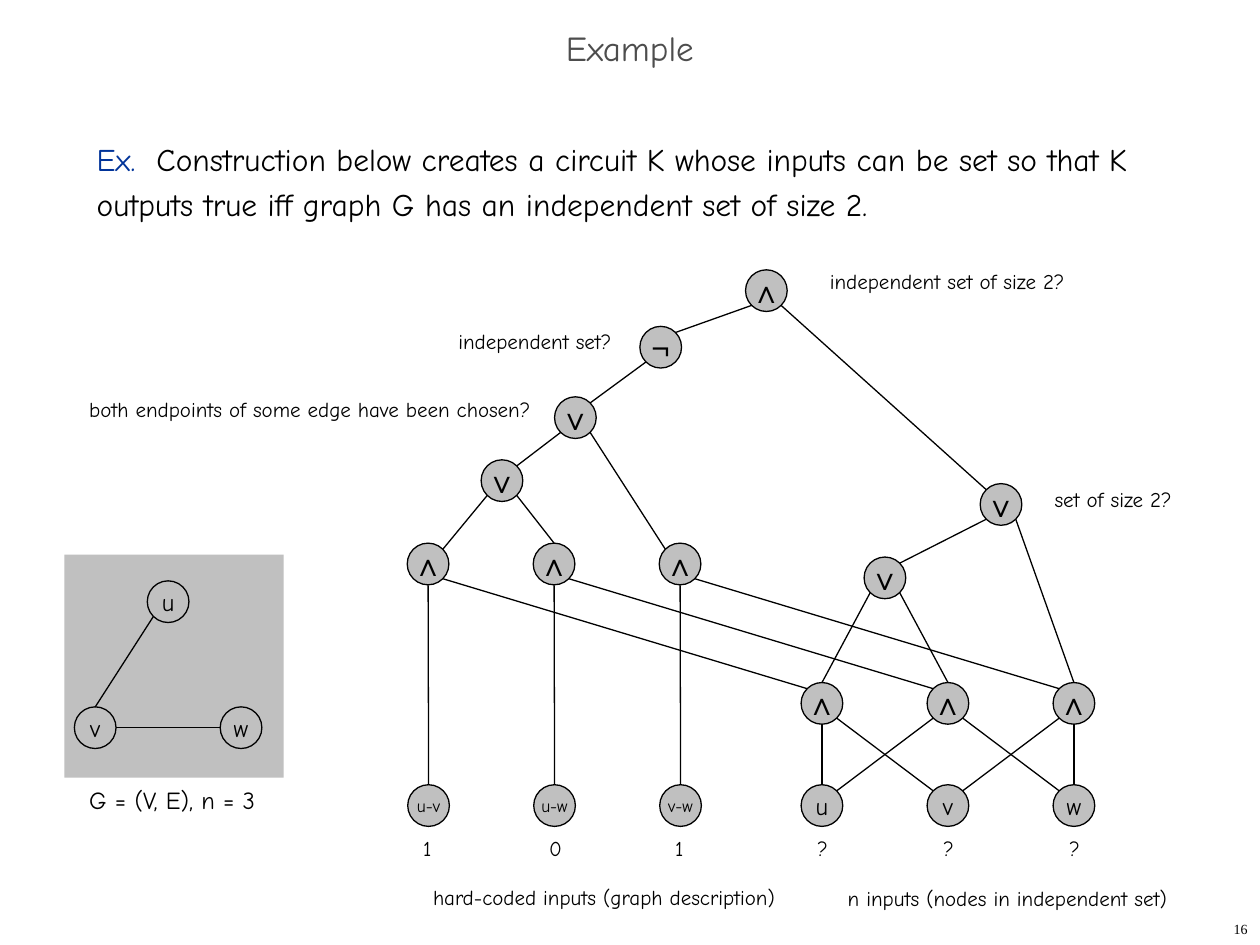
from math import sqrt

from lxml.etree import SubElement
from pptx import Presentation
from pptx.dml.color import RGBColor
from pptx.enum.shapes import MSO_CONNECTOR as LINE, MSO_SHAPE as SHAPE
from pptx.enum.text import MSO_ANCHOR as ANCHOR, MSO_AUTO_SIZE as FIT, PP_ALIGN as ALIGN
from pptx.oxml.ns import qn
from pptx.util import Cm, Pt

BLACK, GREY, DARK, BLUE = "000000", "C0C0C0", "4D4D4D", "003399"
HAND = "Comic Neue"
DIAMETER, STEP = 0.84, 2.54

GATE = {"name": "Arial", "size": Pt(18)}
EDGE_INPUT = {"name": HAND, "size": Pt(10)}
NODE = {"name": HAND, "size": Pt(14)}
LABEL = {"name": HAND, "size": Pt(12)}
TITLE = {"name": HAND, "size": Pt(20)}
BODY = {"name": HAND, "size": Pt(18)}
NUMBER = {"name": "Times New Roman", "size": Pt(8)}

# name: (text, centre x, centre y, font), all in cm
nodes = {
    "result": ("∧", 15.45, 5.86, GATE),
    "not": ("¬", 13.32, 7.0, GATE),
    "any edge": ("∨", 11.6, 8.42, GATE),
    "two edges": ("∨", 10.12, 9.69, GATE),
    "size 2": ("∨", 20.18, 10.17, GATE),
    "two pairs": ("∨", 17.84, 11.65, GATE),
    "graph u": ("u", 3.39, 12.13, NODE),
    "graph v": ("v", 1.92, 14.67, NODE),
    "graph w": ("w", 4.86, 14.67, NODE),
}

# row name: (texts, first centre x, centre y, font)
rows = {
    "edge": ("∧∧∧", 8.63, 11.37, GATE),
    "pair": ("∧∧∧", 16.57, 14.18, GATE),
    "hard": (["u-v", "u-w", "v-w"], 8.64, 16.24, EDGE_INPUT),
    "free": ("uvw", 16.57, 16.24, NODE),
}

# (from node, side, to node, side)
wires = [
    ("result", "SW", "not", "NE"),
    ("result", "SE", "size 2", "NW"),
    ("not", "SW", "any edge", "NE"),
    ("any edge", "SW", "two edges", "NE"),
    ("any edge", "SE", "edge 2", "NW"),
    ("two edges", "SW", "edge 0", "NE"),
    ("two edges", "SE", "edge 1", "N"),
    ("size 2", "SW", "two pairs", "NE"),
    ("size 2", "SE", "pair 2", "N"),
    ("two pairs", "SW", "pair 0", "N"),
    ("two pairs", "SE", "pair 1", "N"),
    ("pair 0", "S", "free 0", "N"),
    ("pair 0", "SE", "free 1", "NW"),
    ("pair 1", "SW", "free 0", "NE"),
    ("pair 1", "SE", "free 2", "NW"),
    ("pair 2", "SW", "free 1", "NE"),
    ("pair 2", "S", "free 2", "N"),
    ("graph u", "SW", "graph v", "N"),
    ("graph w", "W", "graph v", "E"),
]

# (text, left, top, width, font)
labels = [
    ("independent set of size 2?", 16.48, 5.28, 5.26, LABEL),
    ("independent set?", 8.99, 6.5, 3.61, LABEL),
    ("both endpoints of some edge have been chosen?", 1.55, 7.87, 9.42, LABEL),
    ("set of size 2?", 21.01, 9.68, 2.9, LABEL),
    ("hard-coded inputs (graph description)", 8.48, 17.7, 7.44, LABEL),
    ("n inputs (nodes in independent set)", 16.84, 17.73, 6.96, LABEL),
    ("G = (V, E), n = 3", 1.55, 15.7, 3.91, NODE),
]
values = [("101", 8.28, 0.69), ("???", 16.23, 0.74)]

for row, (texts, first, y, font) in rows.items():
    for i, text in enumerate(texts):
        nodes[f"{row} {i}"] = (text, first + i * STEP, y, font)
for i in range(3):
    wires += [(f"edge {i}", "S", f"hard {i}", "N"),
              (f"edge {i}", "SE", f"pair {i}", "NW")]
for texts, first, width in values:
    labels += [(text, first + i * STEP, 16.72, width, LABEL)
               for i, text in enumerate(texts)]


def rgb(color):
    return RGBColor.from_string(color)


def write(para, text, font, color=BLACK):
    span = para.add_run()
    span.text = text
    for key, value in font.items():
        setattr(span.font, key, value)
    span.font.color.rgb = rgb(color)


def add_box(left, top, width, height, **frame):
    """Add a text box and return its first paragraph."""
    box = page.shapes.add_textbox(Cm(left), Cm(top), Cm(width), Cm(height))
    for key, value in ({"word_wrap": True} | frame).items():
        setattr(box.text_frame, key, value)
    return box.text_frame.paragraphs[0]


def add_shape(kind, left, top, width, height):
    shape = page.shapes.add_shape(kind, Cm(left), Cm(top), Cm(width), Cm(height))
    shape.shadow.inherit = False
    shape.fill.solid()
    shape.fill.fore_color.rgb = rgb(GREY)
    return shape


def add_node(text, x, y, font):
    circle = add_shape(SHAPE.OVAL, x - DIAMETER / 2, y - DIAMETER / 2, DIAMETER, DIAMETER)
    circle.line.color.rgb = rgb(BLACK)
    circle.line.width = Pt(0.75)
    frame = circle.text_frame
    frame.word_wrap = False
    frame.vertical_anchor = ANCHOR.MIDDLE
    frame.paragraphs[0].alignment = ALIGN.CENTER
    write(frame.paragraphs[0], text, font)


def rim(name, side):
    """Point on a node's circle in a compass direction."""
    _, x, y, _ = nodes[name]
    reach = DIAMETER / 2 / sqrt(len(side))
    return (Cm(x + reach * (("E" in side) - ("W" in side))),
            Cm(y + reach * (("S" in side) - ("N" in side))))


def add_wire(start, start_side, end, end_side):
    wire = page.shapes.add_connector(LINE.STRAIGHT, *rim(start, start_side), *rim(end, end_side))
    wire.line.color.rgb = rgb(BLACK)
    wire.line.width = Pt(0.75)
    SubElement(wire._element.spPr, qn("a:effectLst"))


deck = Presentation()
deck.slide_width, deck.slide_height = Cm(25.4), Cm(19.05)
page = deck.slides.add_slide(deck.slide_layouts[6])

title = add_box(0, 0.43, 25.4, 1.27, vertical_anchor=ANCHOR.MIDDLE)
title.alignment, title.line_spacing = ALIGN.CENTER, 0.7
write(title, "Example", TITLE, DARK)

body = add_box(1.7, 2.54, 21.79, 15.04)
body.line_spacing = Pt(26)
write(body, "Ex.  ", BODY, BLUE)
write(body, "Construction below creates a circuit K whose inputs can be set so that K "
            "outputs true iff graph G has an independent set of size 2.", BODY)

add_shape(SHAPE.RECTANGLE, 1.3, 11.18, 4.42, 4.5).line.fill.background()
for node in nodes.values():
    add_node(*node)
for ends in wires:
    add_wire(*ends)
for text, left, top, width, font in labels:
    para = add_box(left, top, width, 0.76, word_wrap=False, auto_size=FIT.SHAPE_TO_FIT_TEXT)
    write(para, text, font)

number = add_box(20.12, 18.42, 5.28, 0.63, vertical_anchor=ANCHOR.MIDDLE)
number.alignment = ALIGN.RIGHT
write(number, "16", NUMBER)

deck.save("out.pptx")
